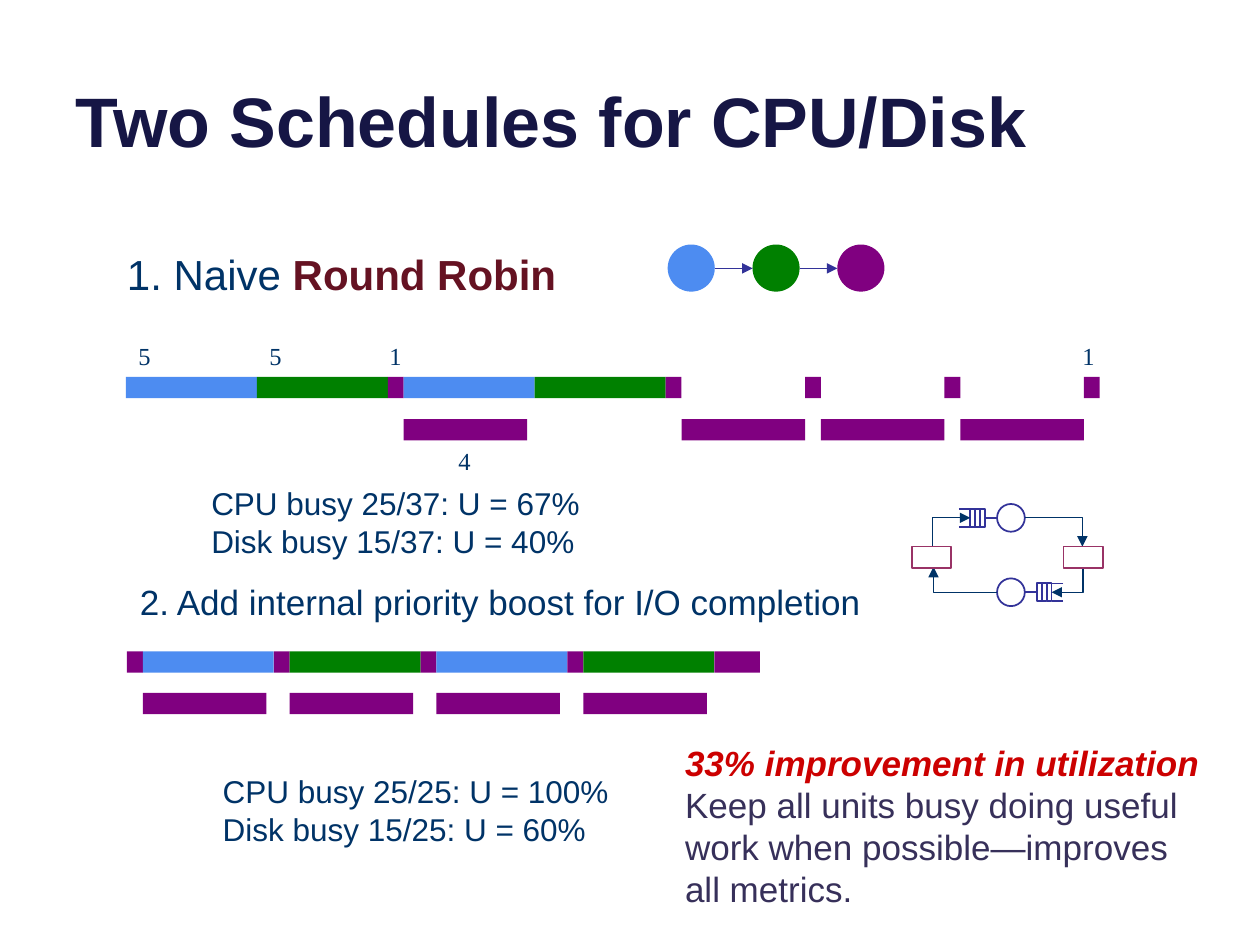
"""Build the slide comparing two CPU/disk schedules."""
import pptx
import pptx.util
import pptx.dml.color
import pptx.enum.shapes
import pptx.enum.text
import pptx.oxml.ns
import lxml.etree

Cm = pptx.util.Cm
Kind = pptx.enum.shapes.MSO_SHAPE
Wire = pptx.enum.shapes.MSO_CONNECTOR
qn = pptx.oxml.ns.qn
hue = pptx.dml.color.RGBColor.from_string


class Theme:
    blue, green, plum, white = "4D8CF1", "008000", "800080", "FFFFFF"
    title, text, name, alert, note = "161645", "003367", "651222", "CC0000", "37305A"
    edge, port = "333399", "993366"
    sans, serif = "Arial", "Times New Roman"
    huge, head, body, small, tiny = 40, 24, 20, 18, 14
    thick, thin = 1, 0.75


def block(kind, left, top, width, height, fill, edge=None):
    item = slide.shapes.add_shape(kind, Cm(left), Cm(top), Cm(width), Cm(height))
    item.shadow.inherit = False
    item.fill.solid()
    item.fill.fore_color.rgb = hue(fill)
    if edge:
        item.line.color.rgb = hue(edge)
        item.line.width = pptx.util.Pt(Theme.thick)
    else:
        item.line.fill.background()
    return item


def link(start, end, kind=Wire.STRAIGHT, color=Theme.edge, width=Theme.thick, arrow=False):
    item = slide.shapes.add_connector(kind, *(Cm(n) for n in start + end))
    item.line.color.rgb = hue(color)
    item.line.width = pptx.util.Pt(width)
    props = item.element.spPr
    if arrow:
        lxml.etree.SubElement(props.find(qn("a:ln")), qn("a:tailEnd"), type="triangle")
    lxml.etree.SubElement(props, qn("a:effectLst"))
    return item


deck = pptx.Presentation()
deck.slide_width, deck.slide_height = Cm(25.4), Cm(19.05)
slide = deck.slides.add_slide(deck.slide_layouts[5])

title = slide.shapes.title
title.left, title.top, title.width, title.height = Cm(1.27), Cm(-0.94), Cm(22.86), Cm(4.32)
frame = title.text_frame
frame.text = "Two Schedules for CPU/Disk"
frame.auto_size = pptx.enum.text.MSO_AUTO_SIZE.NONE
frame.vertical_anchor = pptx.enum.text.MSO_ANCHOR.BOTTOM
frame.paragraphs[0].alignment = pptx.enum.text.PP_ALIGN.LEFT
font = frame.paragraphs[0].runs[0].font
font.name, font.size, font.bold = Theme.sans, pptx.util.Pt(Theme.huge), True
font.color.rgb = hue(Theme.title)

long, short, disk, last = 2.64, 0.32, 2.49, 0.92
blue, green, plum = (Theme.blue, long), (Theme.green, long), (Theme.plum, short)
busy, wait, gap = (Theme.plum, disk), (None, disk), (None, short)
rest = (None, long + short - disk)
rows = [
    (2.54, 7.6, [blue, green, plum] * 2 + [wait, plum] * 3),
    (2.54, 8.45, [(None, 2 * long + short), busy, (None, 2 * long + short - disk),
                  busy, gap, busy, gap, busy]),
    (2.56, 13.13, [plum, blue, plum, green] * 2 + [(Theme.plum, last)]),
    (2.56, 13.97, [gap] + [busy, rest] * 4),
]
for left, top, parts in rows:
    for color, width in parts:
        if color:
            block(Kind.RECTANGLE, left, top, width, 0.43, color)
        left += width

texts = [
    (2.54, 6.75, 0.76, 0.84, Theme.tiny, Theme.serif, "5"),
    (5.18, 6.76, 0.76, 0.84, Theme.tiny, Theme.serif, "5"),
    (7.6, 6.75, 0.76, 0.84, Theme.tiny, Theme.serif, "1"),
    (21.57, 6.76, 0.76, 0.84, Theme.tiny, Theme.serif, "1"),
    (8.99, 8.87, 0.76, 0.84, Theme.tiny, Theme.serif, "4"),
    (4.01, 9.63, 8.03, 1.8, Theme.small, Theme.sans,
     "CPU busy 25/37: U = 67%\nDisk busy 15/37: U = 40%"),
    (4.24, 15.44, 8.38, 1.8, Theme.small, Theme.sans,
     "CPU busy 25/25: U = 100%\nDisk busy 15/25: U = 60%"),
    (2.57, 11.58, 15.16, 1.12, Theme.body, Theme.sans,
     "2. Add internal priority boost for I/O completion"),
    (2.31, 4.88, 9.25, 1.27, Theme.head, Theme.sans, "1. Naive "),
    (13.56, 14.83, 11, 3.68, Theme.body, Theme.sans,
     "33% improvement in utilization\n"
     "Keep all units busy doing useful work when possible—improves all metrics."),
]
frames = {}
for left, top, width, height, size, face, words in texts:
    frame = slide.shapes.add_textbox(Cm(left), Cm(top), Cm(width), Cm(height)).text_frame
    frame.text = words
    frame.word_wrap = words.startswith("33%")
    if words.startswith("1. "):
        frame.paragraphs[0].add_run().text = "Round Robin"
    for para in frame.paragraphs:
        for run in para.runs:
            run.font.name, run.font.size = face, pptx.util.Pt(size)
            run.font.color.rgb = hue(Theme.text)
    frames[words[:3]] = frame

robin = frames["1. "].paragraphs[0].runs[1].font
robin.bold, robin.color.rgb = True, hue(Theme.name)
claim, note = (para.runs[0].font for para in frames["33%"].paragraphs)
claim.bold, claim.italic, claim.color.rgb = True, True, hue(Theme.alert)
note.color.rgb = hue(Theme.note)

mid = 20.38
for side, drop in ((1, 0), (-1, 1.5)):
    top = 10.26 + drop
    for step in range(3):
        center = mid + side * (0.1 * step - 0.77)
        block(Kind.RECTANGLE, center - 0.05, top, 0.1, 0.36, Theme.white, Theme.edge)
    for level in (top, top + 0.36):
        link((mid - side * 1.05, level), (mid - side * 0.82, level))
    link((mid - side * 0.52, top + 0.18), (mid - side * 0.28, top + 0.18))
    block(Kind.OVAL, mid - 0.28, top - 0.1, 0.56, 0.56, Theme.white, Theme.edge)

bends = [
    ((20.66, 10.44), (21.82, 11.02), False),
    ((21.82, 11.43), (21.2, 11.94), True),
    ((20.1, 11.94), (18.82, 11.43), False),
    ((18.82, 11.02), (19.56, 10.44), True),
]
for start, end, upright in bends:
    bend = link(start, end, Wire.ELBOW, Theme.text, Theme.thin, True)
    shape = bend.element.spPr.find(qn("a:prstGeom"))
    if upright:
        guides = shape.find(qn("a:avLst"))
        lxml.etree.SubElement(guides, qn("a:gd"), name="adj1", fmla="val -2200")
    else:
        shape.set("prst", "bentConnector2")

for left in (18.39, 21.44):
    block(Kind.RECTANGLE, left, 11.02, 0.79, 0.43, Theme.white, Theme.port)

size, pitch = 0.95, 1.71
for step, color in enumerate((Theme.blue, Theme.green, Theme.plum)):
    left = 13.46 + step * pitch
    block(Kind.OVAL, left, 4.93, size, size, color)
    if step:
        link((left - pitch + size, 5.41), (left, 5.41), arrow=True)

deck.save("out.pptx")
